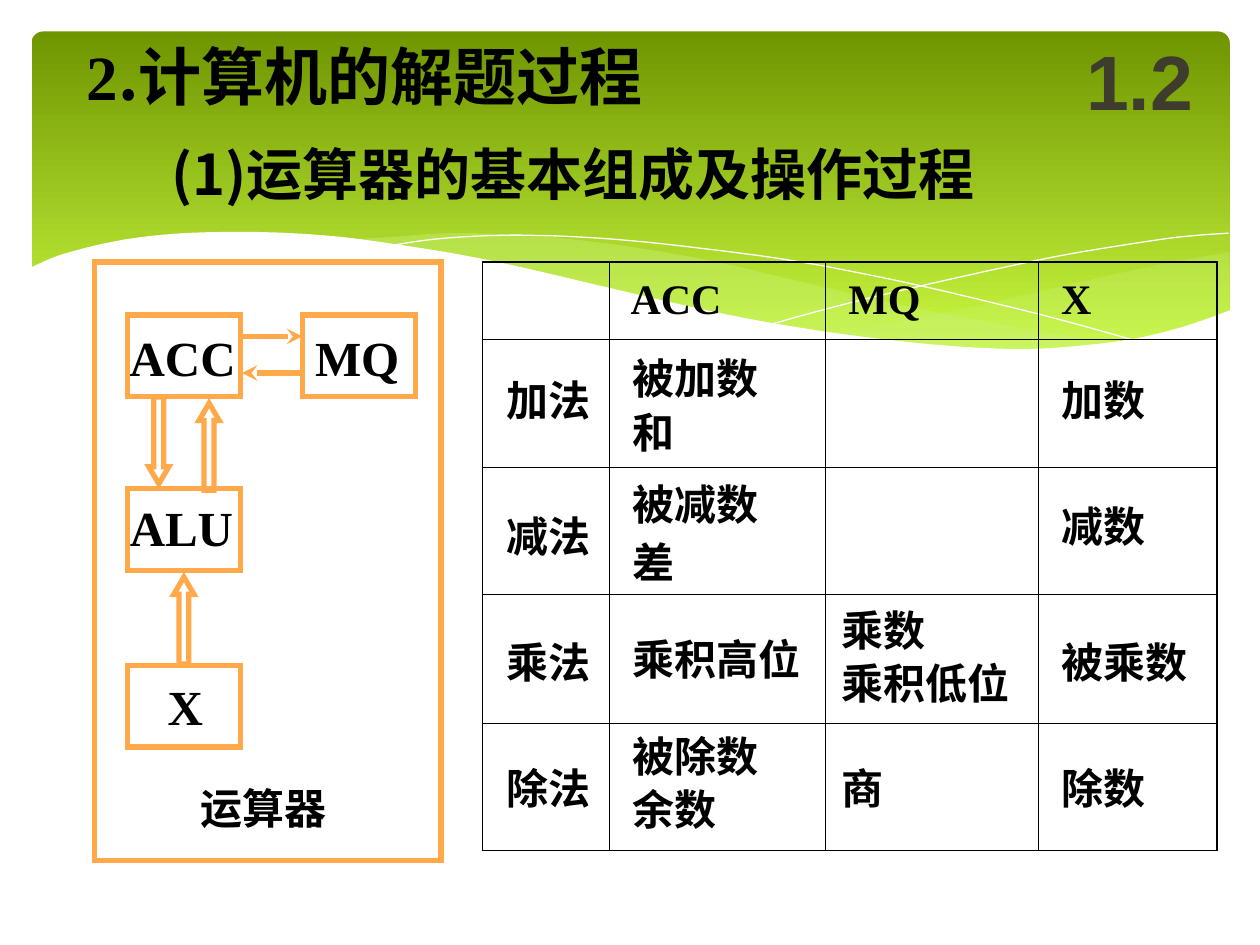
"""Build the slide on the arithmetic unit's parts and its operations."""
import lxml.etree
import pptx
import pptx.dml.color
import pptx.enum.dml
import pptx.enum.shapes
import pptx.enum.text
import pptx.oxml.ns
import pptx.util

Inches = pptx.util.Inches
Pt = pptx.util.Pt
SHAPES = pptx.enum.shapes.MSO_SHAPE
ALIGN = pptx.enum.text.PP_ALIGN
ANCHOR = pptx.enum.text.MSO_ANCHOR
SERIF, CJK, SANS = "Times New Roman", "Noto Sans CJK SC", "Arial"
BLACK, ORANGE, WHITE, LIME, GREY = "000000", "FFA94A", "FFFFFF", "CAF278", "3E3D2D"
UNITS_PER_INCH = 1000

TITLE = [("2", SERIF), (".计算机的解题过程", CJK)]
SUBTITLE = "(1)运算器的基本组成及操作过程"
SECTION = "1.2"

RIGHT_WAVE = [(9.76, 2), (9.21, 2.1), (8.61, 2.23), (7.79, 2.42), (7.06, 2.57), (6.61, 2.65),
              (7.05, 2.71), (7.57, 2.76), (8.14, 2.78), (8.72, 2.74), (9.21, 2.65), (9.76, 2.47)]
MIDDLE_WAVE = [(8.93, 2.73), (8.37, 2.65), (7.75, 2.54), (7.06, 2.4), (6.29, 2.22), (5.69, 2.08),
               (5.14, 1.98), (4.64, 1.91), (4.2, 1.87), (3.61, 1.85), (3.13, 1.88), (2.86, 1.91),
               (3.42, 1.99), (4.04, 2.11), (4.91, 2.32), (5.66, 2.48), (6.34, 2.61), (6.95, 2.7),
               (7.48, 2.76), (8.07, 2.79), (8.57, 2.77), (8.93, 2.73)]
FALLING_LINE = [(3.09, 1.95), (3.43, 1.9), (3.87, 1.87), (4.33, 1.87), (4.89, 1.9), (5.56, 1.97),
                (6.36, 2.08), (7.27, 2.26), (8.31, 2.51), (9.07, 2.72)]
RISING_LINE = [(6.13, 2.57), (6.72, 2.41), (7.48, 2.23), (8.36, 2.04), (8.95, 1.94), (9.37, 1.88),
               (9.75, 1.85)]
WHITE_EDGE = [(9.77, 2.46), (9.4, 2.59), (8.99, 2.69), (8.5, 2.75), (8.09, 2.77), (7.61, 2.75),
              (7.08, 2.7), (6.47, 2.62), (5.79, 2.5), (5.03, 2.33), (4.18, 2.13), (3.65, 2.02),
              (3.15, 1.94), (2.71, 1.88), (2.3, 1.85), (1.93, 1.84), (1.46, 1.85), (1.06, 1.89),
              (0.75, 1.95), (0.46, 2.03), (0.23, 2.13)]
WHITE_BASE = [(0.23, 3.29), (9.77, 3.29)]

HEADERS = ["", " ACC", " MQ", " X"]
COLUMN_WIDTHS = [1.01, 1.71, 1.69, 1.42]
ROW_HEIGHTS = [0.61, 1.02, 1.01, 1.02, 1.01]
ENTRIES = {
    3.92: [("加法", 2.92, 1.5), ("减法", 4, 1.17), ("乘法", 5, 1.08), ("除法", 6, 1.25)],
    4.92: [("被加数", 2.75, 1.83), ("和", 3.18, 2), ("被减数", 3.75, 1.92), ("差", 4.21, 2),
           ("乘积高位", 4.98, 2.08), ("被除数", 5.75, 2.08), ("余数", 6.17, 2)],
    6.58: [("乘数", 4.75, 1.58), ("乘积低位", 5.17, 2.08), ("商", 6, 1.08)],
    8.33: [("加数", 2.92, 1.08), ("减数", 3.92, 1.08), ("被乘数", 5, 1.5), ("除数", 6, 1.08)],
}

UNIT_FRAME = (0.75, 2.08, 2.75, 4.75)
REGISTERS = [(1.01, 2.5), (2.4, 2.5), (1.01, 3.88), (1.01, 5.28)]
REGISTER_SIZE = (0.9, 0.65)
LABELS = [("ACC", 1.03, 2.6, 0.84, 0.47, 28), ("MQ", 2.5, 2.6, 0.67, 0.47, 28),
          ("ALU", 1.03, 3.95, 0.82, 0.47, 28), ("X", 1.33, 5.37, 0.28, 0.47, 28),
          ("运算器", 1.59, 6.21, 1, 0.4, 24)]
BLOCK_ARROWS = [(1.18, 3.15, 180), (1.58, 3.2, 0), (1.38, 4.58, 0)]
THIN_ARROWS = [(1.91, 2.4, 2.67), (2.4, 1.92, 2.96)]


def color(value):
    return pptx.dml.color.RGBColor.from_string(value)


def add_xml(parent, tag, **attributes):
    return lxml.etree.SubElement(parent, pptx.oxml.ns.qn(tag), **attributes)


def write(frame, runs, size, value=BLACK, align=ALIGN.LEFT, inset=(0.1, 0.05), wrap=True,
          anchor=ANCHOR.TOP):
    frame.auto_size = pptx.enum.text.MSO_AUTO_SIZE.NONE
    frame.word_wrap = wrap
    frame.vertical_anchor = anchor
    frame.margin_left = frame.margin_right = Inches(inset[0])
    frame.margin_top = frame.margin_bottom = Inches(inset[1])
    paragraph = frame.paragraphs[0]
    paragraph.alignment = align
    for text, font in runs:
        run = paragraph.add_run()
        run.text = text
        run.font.size, run.font.bold, run.font.name = Pt(size), True, font
        run.font.color.rgb = color(value)
        add_xml(run.font._element, "a:ea", typeface=CJK)


def add_text(slide, box, text, size, font=SERIF, **options):
    shape = slide.shapes.add_textbox(*map(Inches, box))
    write(shape.text_frame, [(text, font)], size, **options)


def smooth(points, steps=5):
    """Return points along a Catmull-Rom curve through the given points."""
    padded = [points[0], *points, points[-1]]
    curve = [points[0]]
    for a, b, c, d in zip(padded, padded[1:], padded[2:], padded[3:]):
        for step in range(1, steps + 1):
            t = step / steps
            curve.append(tuple(
                0.5 * (2 * q + (r - p) * t + (2 * p - 5 * q + 4 * r - s) * t ** 2
                       + (3 * q - p - 3 * r + s) * t ** 3)
                for p, q, r, s in zip(a, b, c, d)))
    return curve


def add_wave(slide, points, fill=None, opacity=100):
    start, *rest = [(round(x * UNITS_PER_INCH), round(y * UNITS_PER_INCH)) for x, y in points]
    builder = slide.shapes.build_freeform(*start, scale=Inches(1) / UNITS_PER_INCH)
    builder.add_line_segments(rest, close=fill is not None)
    shape = builder.convert_to_shape()
    shape.shadow.inherit = False
    if fill is None:
        shape.fill.background()
        shape.line.color.rgb = color(WHITE)
        shape.line.width = Pt(0)
        return
    shape.line.fill.background()
    shape.fill.solid()
    shape.fill.fore_color.rgb = color(fill)
    if opacity < 100:
        fill_color = shape.element.spPr.find(".//" + pptx.oxml.ns.qn("a:srgbClr"))
        add_xml(fill_color, "a:alpha", val=str(opacity * 1000))


def add_background(slide):
    band = slide.shapes.add_shape(SHAPES.ROUNDED_RECTANGLE, *map(Inches, (0.25, 0.25, 9.51, 2.7)))
    band.adjustments[0] = 0.034
    band.shadow.inherit = False
    band.line.fill.background()
    band.fill.gradient()
    band.fill.gradient_angle = 270
    for stop, position, value in zip(band.fill.gradient_stops, (0, 1), ("6F9500", "D0FF44")):
        stop.position, stop.color.rgb = position, color(value)
    add_wave(slide, smooth(RIGHT_WAVE), LIME, 29)
    add_wave(slide, smooth(MIDDLE_WAVE), LIME, 40)
    add_wave(slide, smooth(FALLING_LINE))
    add_wave(slide, smooth(RISING_LINE))
    add_wave(slide, smooth(WHITE_EDGE) + WHITE_BASE, WHITE)


def add_operations(slide):
    rows, columns = len(ROW_HEIGHTS), len(COLUMN_WIDTHS)
    box = (3.83, 2.08, sum(COLUMN_WIDTHS), sum(ROW_HEIGHTS))
    table = slide.shapes.add_table(rows, columns, *map(Inches, box)).table
    table.first_row = table.horz_banding = False
    for column, width in zip(table.columns, COLUMN_WIDTHS):
        column.width = Inches(width)
    for row, height in zip(table.rows, ROW_HEIGHTS):
        row.height = Inches(height)
    for r in range(rows):
        for c in range(columns):
            cell = table.cell(r, c)
            if HEADERS[c] and r == 0:
                write(cell.text_frame, [(HEADERS[c], SERIF)], 24, anchor=ANCHOR.MIDDLE)
            properties = cell._tc.get_or_add_tcPr()
            properties.attrib.clear()
            properties.set("anchor", "ctr")
            outer = {"L": c == 0, "R": c == columns - 1, "T": r == 0, "B": r == rows - 1}
            for side, is_outer in outer.items():
                border = add_xml(properties, "a:ln" + side, w=str(Pt(1.08 if is_outer else 0.45)))
                add_xml(add_xml(border, "a:solidFill"), "a:srgbClr", val=BLACK)
            cell.fill.background()


def add_outline(slide, kind, box):
    shape = slide.shapes.add_shape(kind, *map(Inches, box))
    shape.shadow.inherit = False
    shape.fill.background()
    shape.line.color.rgb = color(ORANGE)
    shape.line.width = Pt(3)
    add_xml(shape.line._get_or_add_ln(), "a:miter", lim="800000")
    return shape


def add_unit(slide):
    for place in REGISTERS:
        add_outline(slide, SHAPES.RECTANGLE, place + REGISTER_SIZE)
    for text, *box, size in LABELS:
        add_text(slide, box, text, size, align=ALIGN.CENTER, inset=(0, 0), wrap=False)
    add_outline(slide, SHAPES.RECTANGLE, UNIT_FRAME)
    for left, top, rotation in BLOCK_ARROWS:
        arrow = add_outline(slide, SHAPES.UP_ARROW, (left, top, 0.16, 0.69))
        arrow.adjustments[0], arrow.adjustments[1] = 0.495, 0.857
        arrow.rotation = rotation
    for start, end, y in THIN_ARROWS:
        arrow = slide.shapes.add_connector(
            pptx.enum.shapes.MSO_CONNECTOR.STRAIGHT, *map(Inches, (start, y, end, y)))
        arrow.line.color.rgb = color(ORANGE)
        arrow.line.width = Pt(3)
        add_xml(arrow.line._get_or_add_ln(), "a:tailEnd", type="stealth")
        add_xml(arrow.element.spPr, "a:effectLst")


def main():
    presentation = pptx.Presentation()
    presentation.slide_width, presentation.slide_height = Inches(10), Inches(7.5)
    slide = presentation.slides.add_slide(presentation.slide_layouts[5])
    add_background(slide)
    add_operations(slide)
    title = slide.shapes.title
    title.element.getparent().append(title.element)
    title.left, title.top, title.width, title.height = map(Inches, (0.43, 0.25, 4.93, 0.7))
    write(title.text_frame, TITLE, 36, align=ALIGN.CENTER, wrap=False)
    add_text(slide, (1.26, 1.06, 7.99, 0.64), SUBTITLE, 32, CJK)
    add_text(slide, (8.42, 0.17, 1.25, 0.92), SECTION, 44, SANS, value=GREY, align=ALIGN.CENTER,
             anchor=ANCHOR.MIDDLE)
    add_unit(slide)
    for left, entries in ENTRIES.items():
        for text, top, width in entries:
            add_text(slide, (left, top, width, 0.5), text, 24)
    presentation.save("out.pptx")


if __name__ == "__main__":
    main()
